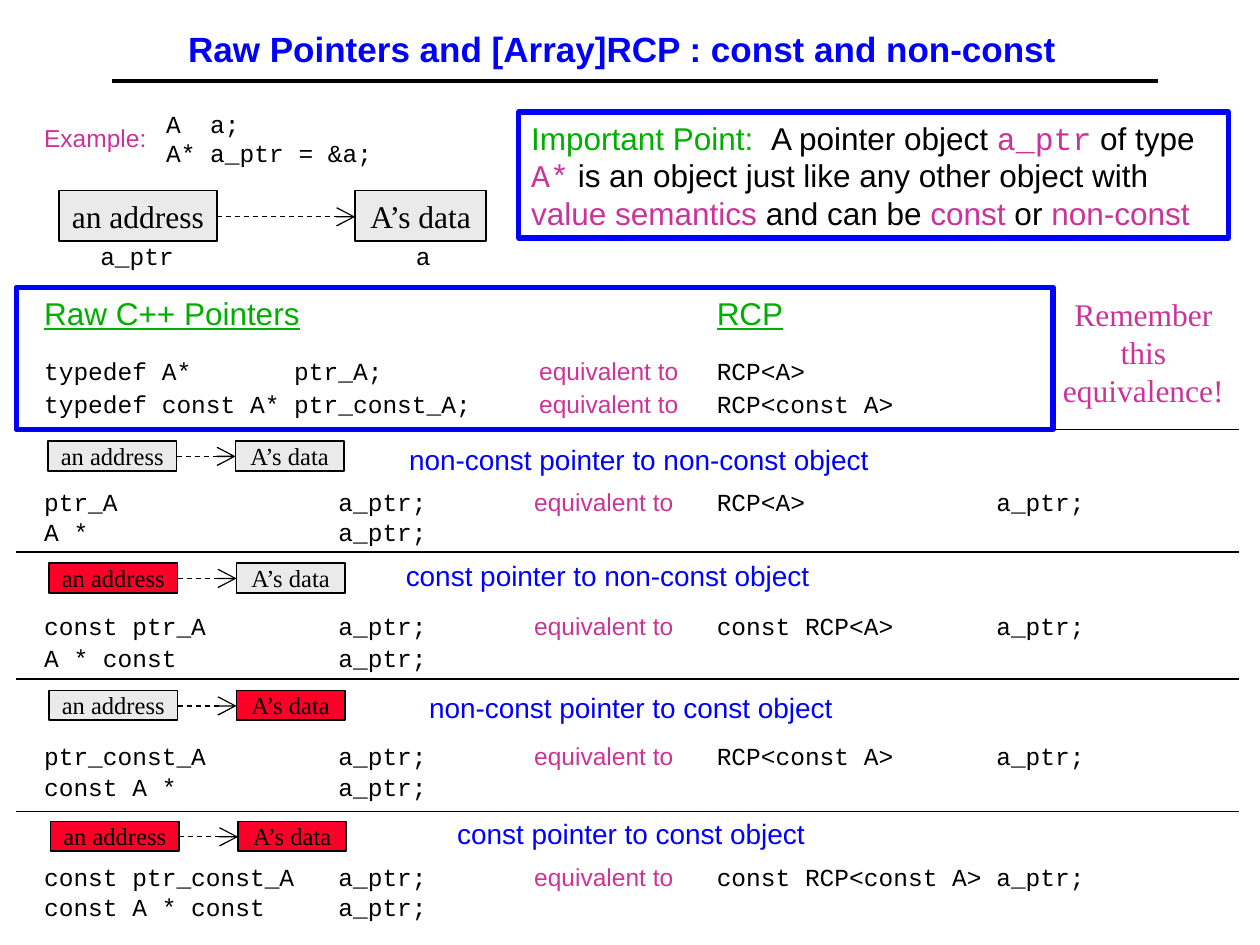
from dataclasses import dataclass

from lxml import etree
from pptx import Presentation
from pptx import util as u
from pptx.dml.color import RGBColor
from pptx.enum import dml, shapes, text as t
from pptx.oxml import ns


@dataclass(frozen=True)
class Theme:
    black: str = "000000"
    blue: str = "0000FF"
    green: str = "00AE00"
    pink: str = "CC3399"
    grey: str = "EAEAEA"
    red: str = "FC0128"
    sans: str = "Arial"
    mono: str = "Courier New"
    serif: str = "Times New Roman"
    title: int = 20
    large: int = 18
    heading: int = 16
    body: int = 14


theme = Theme()
deck = Presentation()
deck.slide_width, deck.slide_height = u.Cm(25.4), u.Cm(19.05)
page = deck.slides.add_slide(deck.slide_layouts[5])


def write(text, place, box=None, font=theme.mono, size=theme.body, colour=theme.black,
          align=t.PP_ALIGN.LEFT, anchor=t.MSO_ANCHOR.TOP, bold=False, underline=False,
          hang=False, fill=None, outline=None, weight=1, pad=0.13, wrap=True):
    edges = [u.Cm(value) for value in place]
    if box is None and outline:
        box = page.shapes.add_shape(shapes.MSO_SHAPE.RECTANGLE, *edges)
        box.shadow.inherit = False
        box.line.color.rgb = RGBColor.from_string(outline)
        box.line.width = u.Pt(weight)
        if fill:
            box.fill.solid()
            box.fill.fore_color.rgb = RGBColor.from_string(fill)
        else:
            box.fill.background()
    elif box is None:
        box = page.shapes.add_textbox(*edges)
    box.left, box.top, box.width, box.height = edges
    frame = box.text_frame
    frame.auto_size = t.MSO_AUTO_SIZE.NONE
    frame.word_wrap = wrap
    frame.vertical_anchor = anchor
    frame.margin_left = frame.margin_right = u.Cm(0.25)
    frame.margin_top = frame.margin_bottom = u.Cm(pad)
    lines = [[(line, font, colour)] for line in text.split("\n")] if isinstance(text, str) else [text]
    for index, spans in enumerate(lines):
        para = frame.add_paragraph() if index else frame.paragraphs[0]
        para.alignment = align
        if hang:
            props = para._p.get_or_add_pPr()
            props.set("marL", str(u.Cm(0.97)))
            props.set("indent", str(-u.Cm(0.48)))
        for words, face, tint in spans:
            span = para.add_run()
            span.text = words
            span.font.name = face
            span.font.size = u.Pt(size)
            span.font.bold = bold
            span.font.underline = underline
            span.font.color.rgb = RGBColor.from_string(tint)


def connect(left, top, right, weight, arrow=False):
    line = page.shapes.add_connector(shapes.MSO_CONNECTOR.STRAIGHT,
                                     u.Cm(left), u.Cm(top), u.Cm(right), u.Cm(top))
    line.line.color.rgb = RGBColor.from_string(theme.black)
    line.line.width = u.Pt(weight)
    if arrow:
        line.line.dash_style = dml.MSO_LINE.DASH
        etree.SubElement(line.line._get_or_add_ln(), ns.qn("a:tailEnd"),
                         type="arrow", w="lg", len="lg")
    etree.SubElement(line._element.spPr, ns.qn("a:effectLst"))


centre = t.PP_ALIGN.CENTER
left_column, right_column = 0.64, 14.2

write("Raw Pointers and [Array]RCP : const and non-const", (1.75, 0.36, 21.59, 1.24),
      box=page.shapes.title, font=theme.sans, size=theme.title, colour=theme.blue,
      bold=True, align=centre, anchor=t.MSO_ANCHOR.MIDDLE)
connect(2.26, 1.63, 23.34, 2)

write("Example:", (left_column, 2.36, 4.27, 0.84), font=theme.sans, colour=theme.pink)
write("A  a;\nA* a_ptr = &a;", (3.1, 2.06, 4.85, 1.45))
for label, name, left, width, name_left in [("an address", "a_ptr", 1.19, 3.18, 1.7),
                                            ("A’s data", "a", 7.16, 2.64, 7.47)]:
    write(label, (left, 3.84, width, 1.02), font=theme.serif, size=theme.large,
          align=centre, fill=theme.grey, outline=theme.black, wrap=False)
    write(name, (name_left, 4.72, 2.13, 0.84), align=centre)
connect(4.37, 4.37, 7.16, 0.75, arrow=True)

write([("Important Point:  ", theme.sans, theme.green),
       ("A pointer object ", theme.sans, theme.black),
       ("a_ptr", theme.mono, theme.pink),
       (" of type ", theme.sans, theme.black),
       ("A*", theme.mono, theme.pink),
       (" is an object just like any other object with ", theme.sans, theme.black),
       ("value semantics", theme.sans, theme.pink),
       (" and can be ", theme.sans, theme.black),
       ("const", theme.sans, theme.pink),
       (" or ", theme.sans, theme.black),
       ("non-const", theme.sans, theme.pink)],
      (10.46, 2.26, 14.3, 2.54), size=theme.large, outline=theme.blue, weight=3)

write([], (0.33, 5.79, 20.9, 2.87), outline=theme.blue, weight=3)
for heading, left in [("Raw C++ Pointers", left_column), ("RCP", right_column)]:
    write(heading, (left, 5.79, 9.93, 1.02), font=theme.sans, size=theme.large,
          colour=theme.green, underline=True)
write("Remember this equivalence!", (21.03, 5.82, 4.04, 2.54), font=theme.serif,
      size=theme.large, colour=theme.pink, align=centre)

equivalences = [
    (7.04, 10.13, "typedef A*       ptr_A;", "RCP<A>"),
    (7.72, 10.13, "typedef const A* ptr_const_A;", "RCP<const A>"),
    (9.68, 10.03, "ptr_A               a_ptr;", "RCP<A>             a_ptr;"),
    (12.19, 10.03, "const ptr_A         a_ptr;", "const RCP<A>       a_ptr;"),
    (14.81, 10.03, "ptr_const_A         a_ptr;", "RCP<const A>       a_ptr;"),
    (17.25, 10.03, "const ptr_const_A   a_ptr;", "const RCP<const A> a_ptr;"),
]
for top, middle, raw, counted in equivalences:
    write(raw, (left_column, top, 10.87, 0.84))
    write("equivalent to", (middle, top, 4.27, 0.84), font=theme.sans,
          colour=theme.pink, hang=True)
    write(counted, (right_column, top, 11, 0.84))

cases = [
    (8.66, "non-const pointer to non-const object", (6.5, 8.79, 12.27, 0.91),
     "A *                 a_ptr;", 10.29, (0.97, 8.89), theme.grey, theme.grey),
    (11.13, "const pointer to non-const object", (7.04, 11.13, 9.93, 0.91),
     "A * const           a_ptr;", 12.83, (0.99, 11.35), theme.red, theme.grey),
    (13.69, "non-const pointer to const object", (7.04, 13.79, 10.87, 0.91),
     "const A *           a_ptr;", 15.44, (0.99, 13.92), theme.grey, theme.red),
    (16.36, "const pointer to const object", (7.04, 16.33, 10.87, 0.91),
     "const A * const     a_ptr;", 17.86, (1.02, 16.56), theme.red, theme.red),
]
for rule, heading, place, code, code_top, (left, top), address_fill, data_fill in cases:
    connect(0.33, rule, 24.97, 1)
    write(heading, place, font=theme.sans, size=theme.heading, colour=theme.blue,
          align=centre, hang=True)
    write(code, (left_column, code_top, 9.07, 0.84))
    for label, offset, width, fill in [("an address", 0, 2.59, address_fill),
                                       ("A’s data", 3.78, 2.18, data_fill)]:
        write(label, (left + offset, top, width, 0.6), font=theme.serif, align=centre,
              fill=fill, outline=theme.black, pad=0, wrap=False)
    connect(left + 2.59, top + 0.31, left + 3.78, 0.75, arrow=True)

deck.save("out.pptx")
